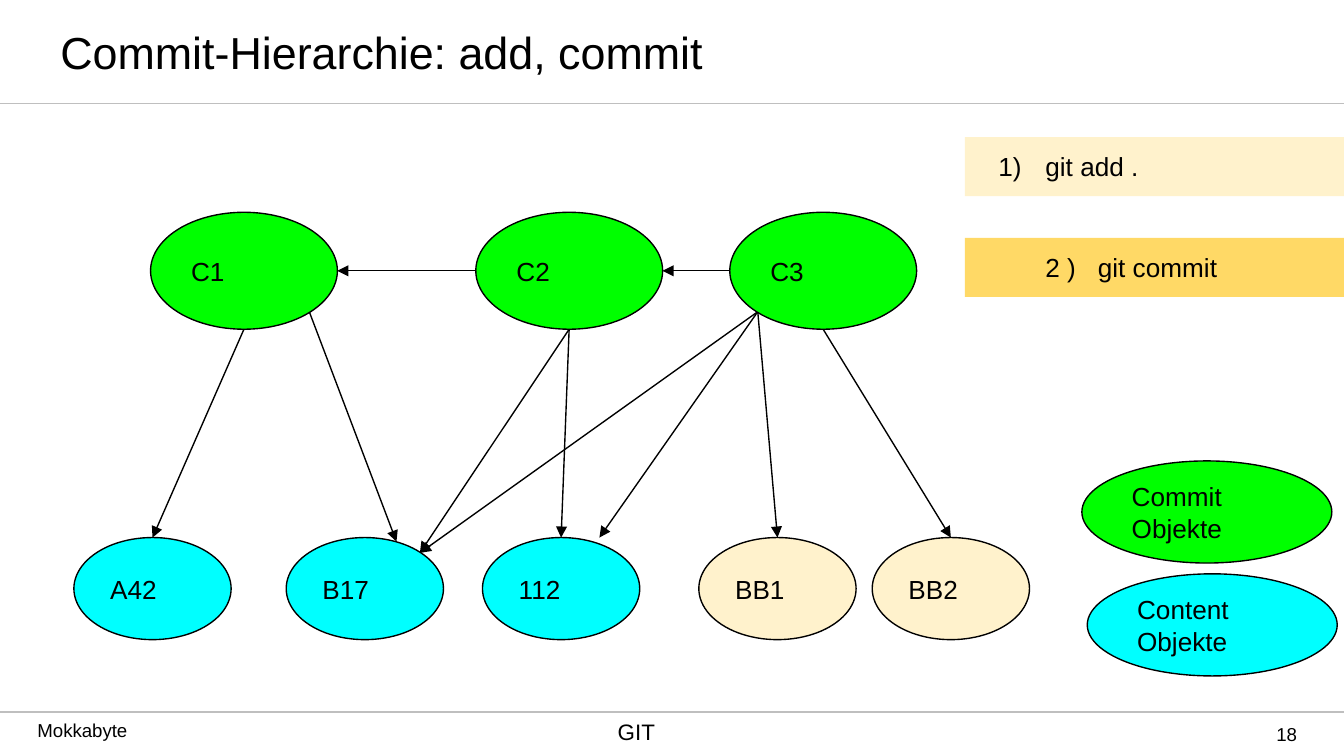
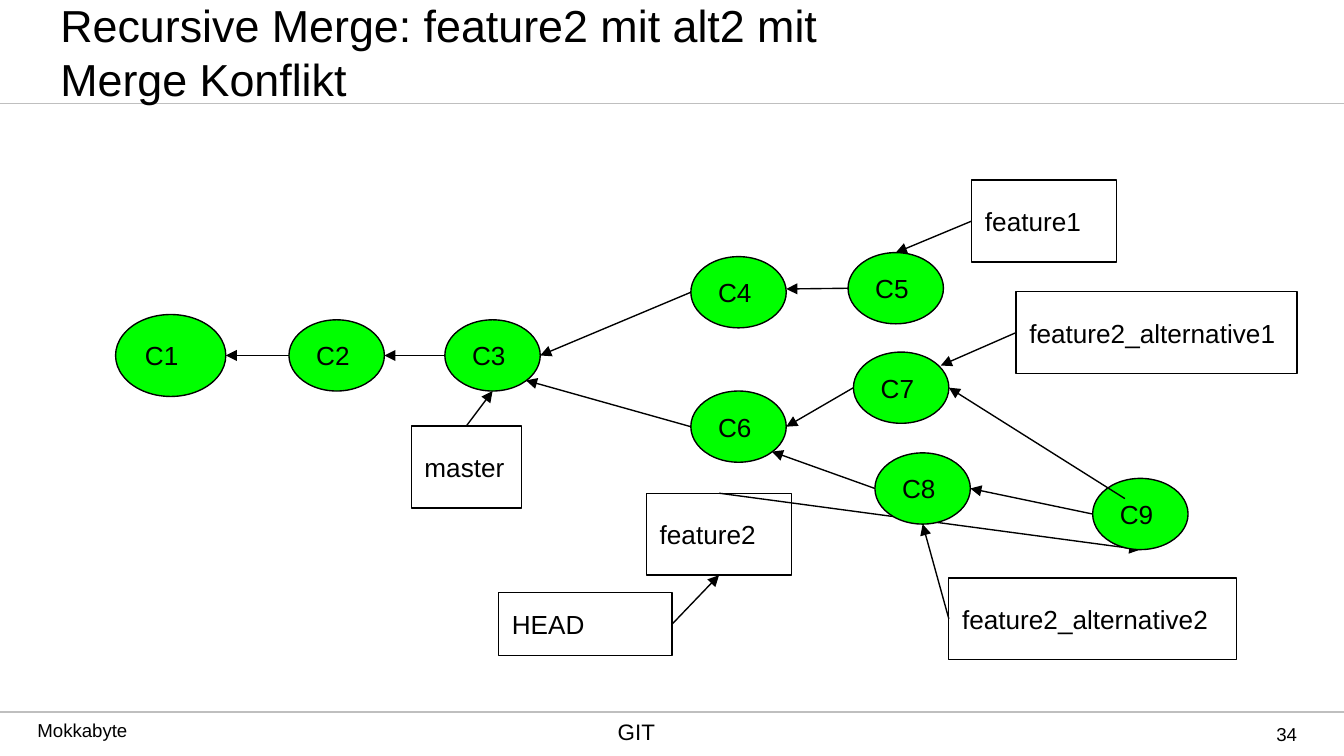
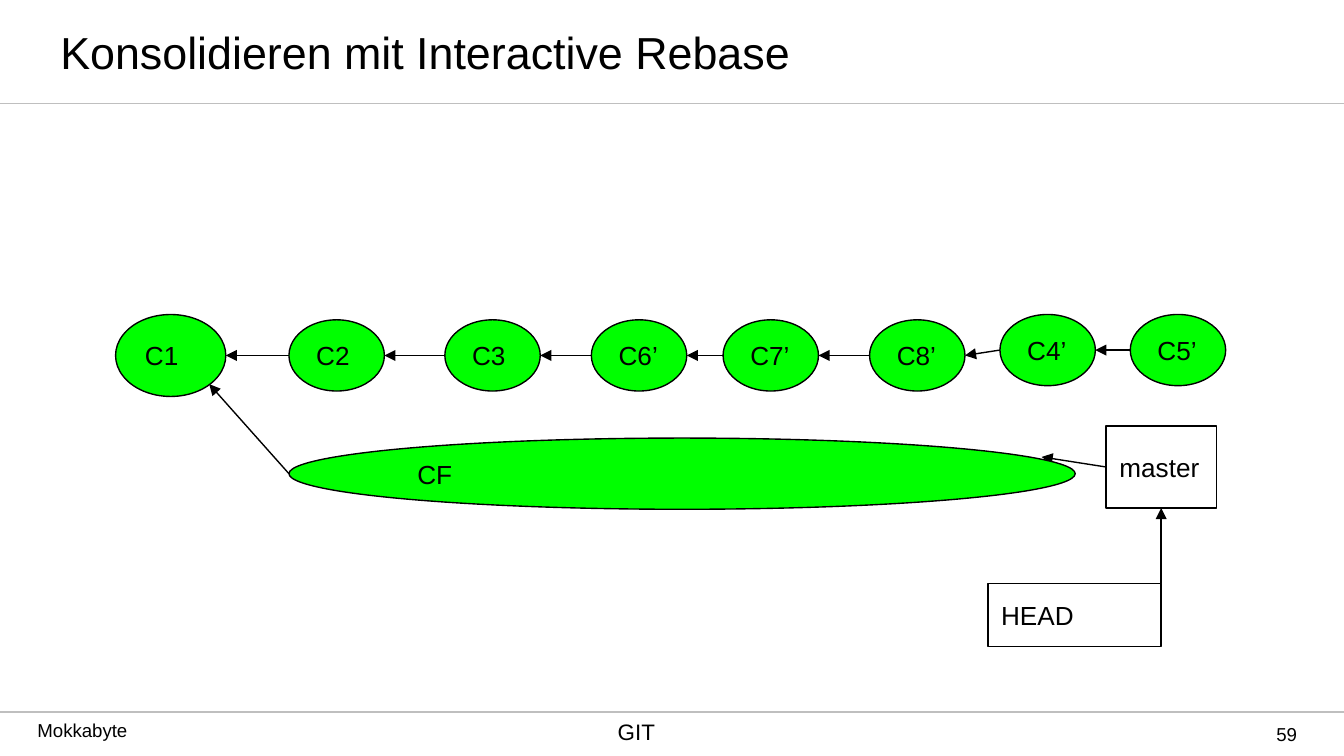
from dataclasses import dataclass

from lxml import etree
from pptx import Presentation
from pptx import util as u
from pptx.dml.color import RGBColor
from pptx.enum import shapes, text
from pptx.oxml import ns


@dataclass(frozen=True)
class Theme:
    font: str = "Arial"
    black: str = "000000"
    white: str = "FFFFFF"
    rule: str = "BFBFBF"
    commit: str = "00FF00"
    content: str = "00FFFF"
    added: str = "FFF2CC"
    committed: str = "FFD966"
    title_size: float = 24
    body_size: float = 14
    topic_size: float = 12
    footer_size: float = 10
    outline: float = 0.75
    rule_width: float = 1


THEME = Theme()
OVAL = shapes.MSO_SHAPE.OVAL
RECTANGLE = shapes.MSO_SHAPE.RECTANGLE
MIDDLE = text.MSO_ANCHOR.MIDDLE
TOP = text.MSO_ANCHOR.TOP
LEFT = text.PP_ALIGN.LEFT


@dataclass(frozen=True)
class Node:
    """A labelled oval or box in a graph; its sides give the arrow ends."""
    label: str
    left: float
    top: float
    width: float
    height: float
    fill: str | None = THEME.commit
    kind: int = OVAL

    def at(self, side):
        """Point on the outline; diagonals lie at 45 degrees on an oval."""
        across, down = {
            "top": (0, -0.5), "bottom": (0, 0.5), "left": (-0.5, 0), "right": (0.5, 0),
            "top right": (0.35, -0.35), "bottom right": (0.35, 0.35),
            "bottom left": (-0.35, 0.35),
        }[side]
        return (self.left + self.width * (0.5 + across),
                self.top + self.height * (0.5 + down))


def version(label, left):
    return Node(label, left, 1.58, 1.39, 0.87)


def content(label, left, fill=THEME.content):
    return Node(label, left, 4, 1.17, 0.76, fill)


def commit(label, left, top=2.38):
    return Node(label, left, top, 0.71, 0.53)


def first_commit():
    return Node("C1", 0.86, 2.34, 0.82, 0.61)


def branch(label, left, top, width):
    return Node(label, left, top, width, 0.61, None, RECTANGLE)


def head(left, top):
    return Node("HEAD", left, top, 1.29, 0.47, THEME.white, RECTANGLE)


def color(value):
    return RGBColor.from_string(value)


def write(shape, words, size=THEME.body_size, align=LEFT, anchor=TOP, insets=(0.1, 0.1)):
    """Fill a shape with text, one paragraph a line; insets are side and top."""
    frame = shape.text_frame
    frame.word_wrap = True
    frame.vertical_anchor = anchor
    side, edge = (u.Inches(inset) for inset in insets)
    frame.margin_left = frame.margin_right = side
    frame.margin_top = frame.margin_bottom = edge
    for index, line in enumerate(words.split("\n")):
        paragraph = frame.add_paragraph() if index else frame.paragraphs[0]
        paragraph.alignment = align
        run = paragraph.add_run()
        run.text = line
        run.font.name = THEME.font
        run.font.size = u.Pt(size)
        run.font.color.rgb = color(THEME.black)


def add_text(slide, box, words, **options):
    write(slide.shapes.add_textbox(*map(u.Inches, box)), words, **options)


def add_shape(slide, kind, box, fill=None, outlined=True):
    shape = slide.shapes.add_shape(kind, *map(u.Inches, box))
    shape.shadow.inherit = False
    if fill:
        shape.fill.solid()
        shape.fill.fore_color.rgb = color(fill)
    else:
        shape.fill.background()
    if outlined:
        shape.line.color.rgb = color(THEME.black)
        shape.line.width = u.Pt(THEME.outline)
    else:
        shape.line.fill.background()
    return shape


def add_line(slide, start, end, stroke=THEME.black, width=THEME.outline):
    line = slide.shapes.add_connector(
        shapes.MSO_CONNECTOR.STRAIGHT, *map(u.Inches, (*start, *end)))
    line.line.color.rgb = color(stroke)
    line.line.width = u.Pt(width)
    etree.SubElement(line._element.spPr, ns.qn("a:effectLst"))
    return line


def add_arrow(slide, start, end):
    line = add_line(slide, start, end).line
    etree.SubElement(line._get_or_add_ln(), ns.qn("a:tailEnd"), type="triangle")


def add_node(slide, node):
    box = (node.left, node.top, node.width, node.height)
    write(add_shape(slide, node.kind, box, node.fill), node.label, anchor=MIDDLE)


def add_graph(slide, nodes, arrows):
    """Draw the arrows first, so that the nodes cover their inner ends."""
    for start, end in arrows:
        add_arrow(slide, start, end)
    for node in nodes:
        add_node(slide, node)


def add_step(slide, top, words, fill, margin, hanging, numbered=False):
    """Command band whose text hangs after its number."""
    band = add_shape(slide, RECTANGLE, (7.18, top, 2.82, 0.44), fill, outlined=False)
    write(band, words)
    properties = band.text_frame.paragraphs[0]._p.get_or_add_pPr()
    properties.set("marL", str(u.Inches(margin)))
    properties.set("indent", str(-u.Inches(hanging)))
    if numbered:
        bullet_color = etree.SubElement(properties, ns.qn("a:buClr"))
        etree.SubElement(bullet_color, ns.qn("a:srgbClr"), val=THEME.black)
        etree.SubElement(properties, ns.qn("a:buAutoNum"), type="arabicParenR")


def new_slide(presentation, title, number):
    """Blank slide with the title, both rules and the footer."""
    slide = presentation.slides.add_slide(presentation.slide_layouts[6])
    for height in (5.3, 0.77):
        add_line(slide, (0, height), (10, height), THEME.rule, THEME.rule_width)
    add_text(slide, (0.18, 5.35, 1.95, 0.22), "Mokkabyte",
             size=THEME.footer_size, insets=(0.1, 0))
    add_text(slide, (3.17, 5.34, 3.13, 0.33), "GIT", size=THEME.topic_size,
             align=text.PP_ALIGN.CENTER, insets=(0.1, 0))
    add_text(slide, (0.35, 0, 6.22, 0.77), title, size=THEME.title_size,
             anchor=MIDDLE, insets=(0.1, 0.05))
    add_text(slide, (8.75, 5.3, 0.9, 0.33), str(number), size=THEME.footer_size,
             align=text.PP_ALIGN.RIGHT, anchor=MIDDLE, insets=(0, 0))
    return slide


def build_commit_hierarchy(presentation):
    slide = new_slide(presentation, "Commit-Hierarchie: add, commit", 18)
    c1, c2, c3 = versions = [
        version(f"C{index}", left) for index, left in enumerate((1.12, 3.54, 5.43), 1)]
    a42, b17, c112 = contents = [
        content(label, left) for label, left in (("A42", 0.55), ("B17", 2.13), ("112", 3.59))]
    bb1, bb2 = additions = [
        content(label, left, THEME.added) for label, left in (("BB1", 5.2), ("BB2", 6.49))]
    legend = [Node("Commit\nObjekte", 8.05, 3.43, 1.86, 0.76),
              Node("Content\nObjekte", 8.09, 4.27, 1.86, 0.76, THEME.content)]
    add_graph(slide, versions + contents + additions + legend, [
        (c2.at("left"), c1.at("right")),
        (c3.at("left"), c2.at("right")),
        (c1.at("bottom"), a42.at("top")),
        (c1.at("bottom right"), (2.95, 4.03)),
        (c2.at("bottom"), b17.at("top right")),
        (c2.at("bottom"), c112.at("top")),
        (c3.at("bottom left"), b17.at("top right")),
        (c3.at("bottom left"), (4.46, 4)),
        (c3.at("bottom left"), bb1.at("top")),
        (c3.at("bottom"), bb2.at("top")),
    ])
    add_step(slide, 1.02, "git add .", THEME.added, 0.5, 0.35, numbered=True)
    add_step(slide, 1.77, "2 )\tgit commit", THEME.committed, 0.89, 0.39)


def build_recursive_merge(presentation):
    slide = new_slide(
        presentation, "Recursive Merge: feature2 mit alt2 mit Merge Konflikt", 34)
    c1 = first_commit()
    c2, c3, c4, c5, c6, c7, c8, c9 = commits = [
        commit(f"C{index}", *place) for index, place in enumerate((
            (2.15, 2.38), (3.31, 2.38), (5.14, 1.91), (6.31, 1.88),
            (5.14, 2.91), (6.35, 2.62), (6.51, 3.37), (8.13, 3.56)), 2)]
    master = branch("master", 3.06, 3.17, 0.82)
    feature1 = branch("feature1", 7.23, 1.34, 1.08)
    feature2 = branch("feature2", 4.81, 3.67, 1.08)
    alternative1 = branch("feature2_alternative1", 7.56, 2.17, 2.09)
    alternative2 = branch("feature2_alternative2", 7.06, 4.3, 2.14)
    current = head(3.71, 4.41)
    labels = [master, feature1, feature2, alternative1, alternative2, current]
    add_graph(slide, [c1, *commits, *labels], [
        (c2.at("left"), c1.at("right")),
        (c3.at("left"), c2.at("right")),
        (c4.at("left"), c3.at("right")),
        (c5.at("left"), (5.85, 2.15)),
        (c6.at("left"), c3.at("bottom right")),
        (c7.at("left"), c6.at("right")),
        (c8.at("left"), c6.at("bottom right")),
        (c9.at("left"), c8.at("right")),
        (master.at("top"), c3.at("bottom")),
        (feature1.at("left"), c5.at("top")),
        (feature2.at("top"), c9.at("bottom")),
        (alternative1.at("left"), (7, 2.72)),
        (alternative2.at("left"), c8.at("bottom")),
        (current.at("right"), feature2.at("bottom")),
    ])
    add_arrow(slide, (8.37, 3.71), c7.at("right"))


def build_interactive_rebase(presentation):
    slide = new_slide(presentation, "Konsolidieren mit Interactive Rebase", 59)
    chain = [first_commit(), commit("C2", 2.15), commit("C3", 3.31),
             commit("C6’", 4.4), commit("C7’", 5.38), commit("C8’", 6.47),
             commit("C4’", 7.44, 2.34), commit("C5’", 8.41, 2.34)]
    squashed = Node("CF", 2.15, 3.26, 5.85, 0.53)
    master = branch("master", 8.23, 3.17, 0.82)
    current = head(7.35, 4.34)
    arrows = [(child.at("left"), parent.at("right"))
              for parent, child in zip(chain, chain[1:])]
    arrows += [(squashed.at("left"), chain[0].at("bottom right")),
               (master.at("left"), (7.75, 3.4)),
               (current.at("right"), master.at("bottom"))]
    add_graph(slide, chain + [squashed, master, current], arrows)


def main():
    presentation = Presentation()
    presentation.slide_width = u.Inches(10)
    presentation.slide_height = u.Inches(10) * 9 // 16
    build_commit_hierarchy(presentation)
    build_recursive_merge(presentation)
    build_interactive_rebase(presentation)
    presentation.save("out.pptx")


if __name__ == "__main__":
    main()
